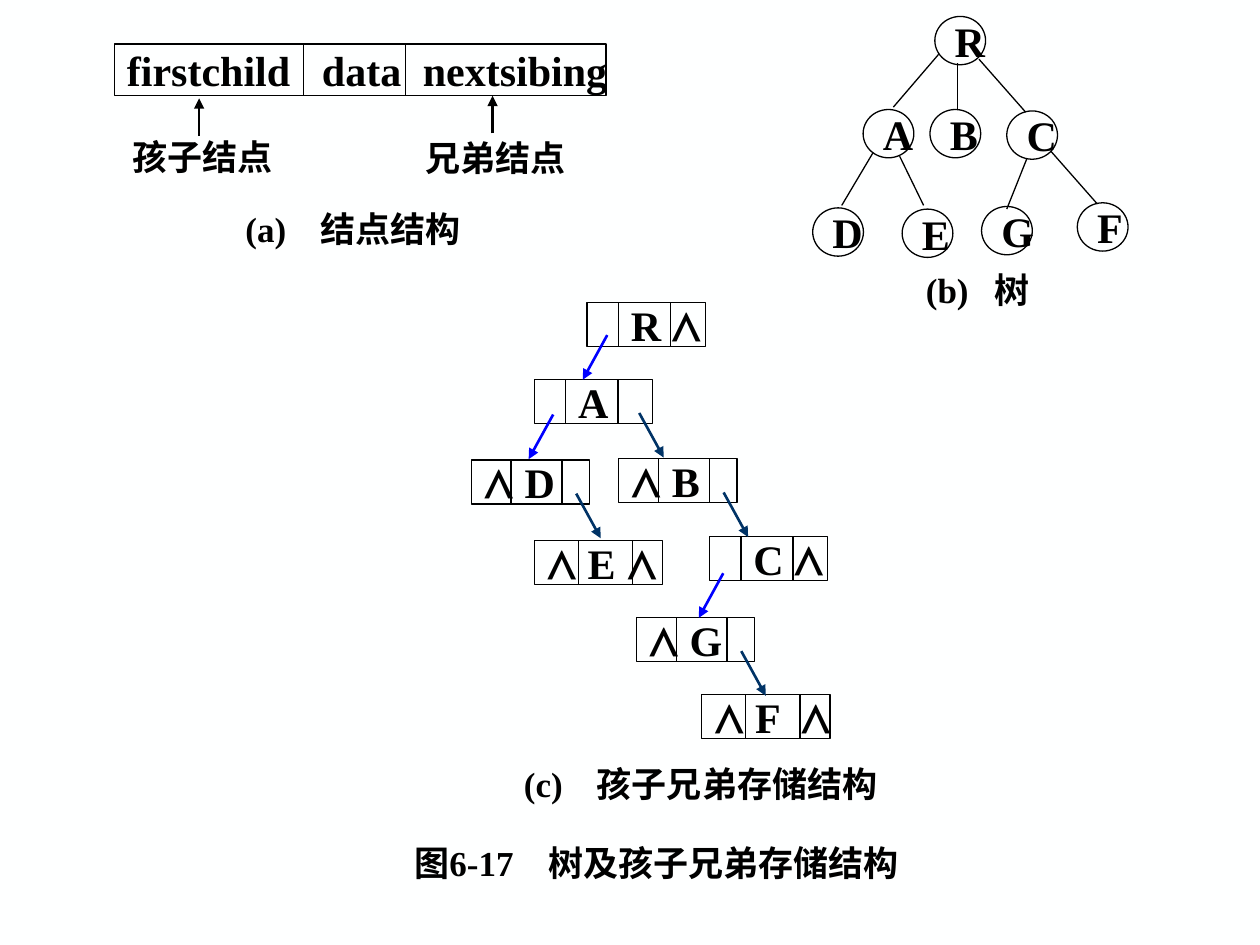
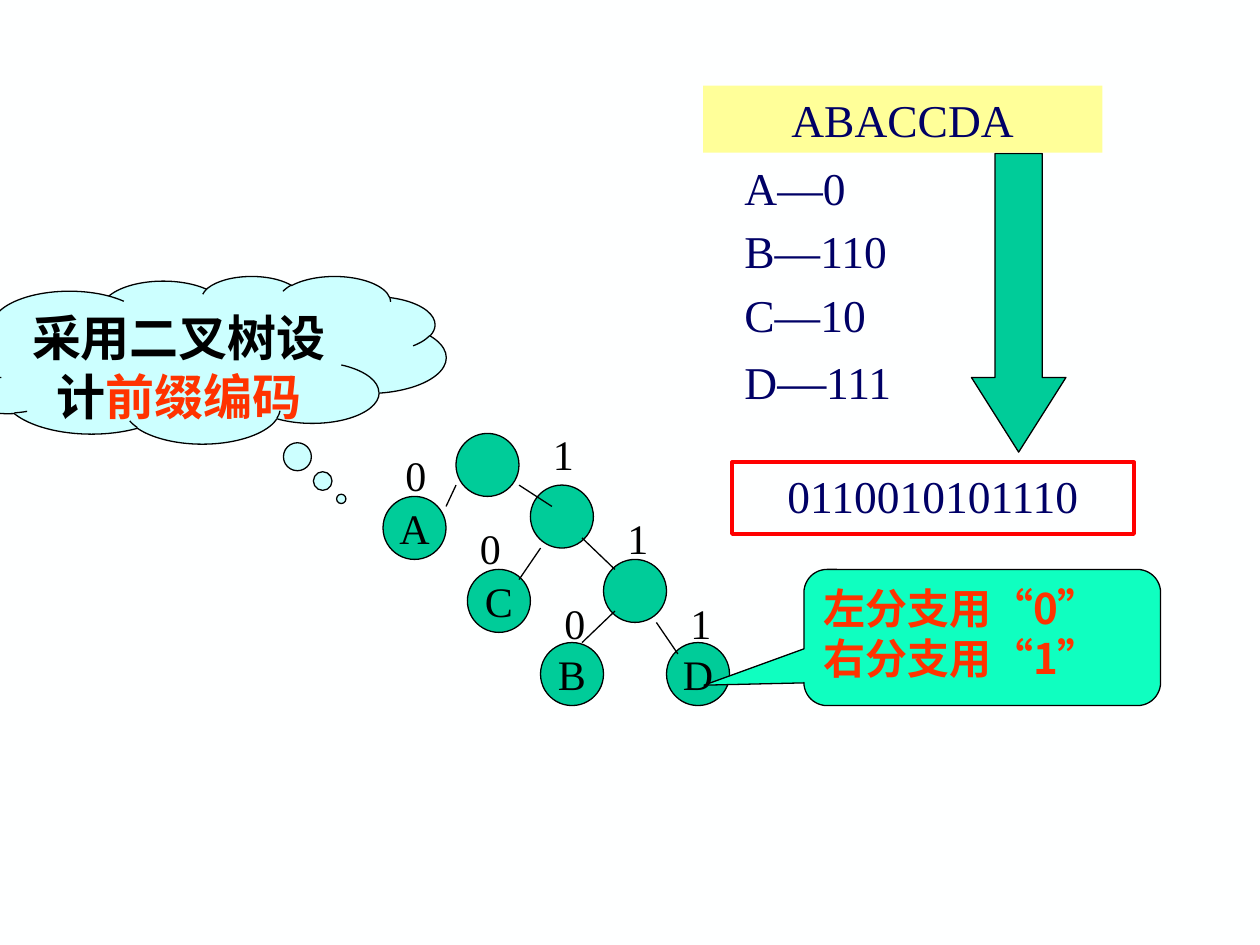
from lxml import etree
from pptx import Presentation
from pptx import util as u
from pptx.dml.color import RGBColor
from pptx.enum import shapes, text
from pptx.oxml import ns

Pt = u.Pt
KIND = shapes.MSO_SHAPE
LEFT, CENTER = text.PP_ALIGN.LEFT, text.PP_ALIGN.CENTER
TOP, MIDDLE = text.MSO_ANCHOR.TOP, text.MSO_ANCHOR.MIDDLE


class Theme:
    serif, cjk = "Times New Roman", "Noto Sans CJK SC"
    paper, ink, navy = "FEFFFF", "000000", "000066"
    child_link, sibling_link = "0000FF", "003366"
    green, mint, sky, yellow = "00CC99", "0FFFC0", "CCFFFF", "FFFF99"
    red, orange = "FF0000", "FF3300"
    caption, code, letter, dash, cloud = 20, 26, 24, 28, 28
    thin, medium, thick = 0.75, 1.5, 2.25


# Content of slide 1: tree and child-sibling storage
FIELDS = "firstchild\tdata\tnextsibing"
FIELD_BOX, FIELD_TABS, FIELD_DIVIDERS = (65.5, 25.2, 280.8, 29.5), (111.4, 169.1), (108, 166.3)
FIELD_NOTES = [  # text, box, arrow x, arrow start and end y
    ("孩子结点", (68.4, 75.6, 98.6, 27.4), 113.8, 77.8, 56.2),
    ("兄弟结点", (236.2, 76.3, 95.8, 27.4), 281.5, 76.3, 54.7),
]
CAPTIONS = [  # text, box, tab stop
    ("(a)\t结点结构", (133.2, 116.6, 141.8, 27.4), 42.9),
    ("(b)\t树", (522, 152.6, 80, 25.2), 39),
    ("(c)\t孩子兄弟存储结构", (292.3, 433.4, 221, 28.1), 41.7),
    ("图6-17\t树及孩子兄弟存储结构", (229.7, 478.8, 300, 28.1), 76.6),
]
TREE_NODES = {
    "R": (534.2, 9.4), "A": (493.2, 62.6), "B": (531.4, 62.6), "C": (575.3, 63.4),
    "D": (464.4, 118.8), "E": (515.5, 119.5), "G": (560.9, 118), "F": (615.6, 115.9),
}
TREE_EDGES = [
    (536.4, 31, 510.5, 61.2), (547.2, 36, 547.2, 62.6), (559.4, 33.8, 586.1, 64.1),
    (499, 87.1, 481, 117.4), (514.1, 89.3, 527.8, 117.4),
    (600.5, 86.4, 627.1, 116.6), (586.8, 90.7, 575.3, 119.5),
]
NULL = "⋀"
RECORDS = {  # letter: left, top, first child, next sibling, tab of the last field
    "R": (335.5, 172.8, "", NULL, 41),
    "A": (305.3, 216.7, "", "", 41),
    "D": (269.3, 262.8, NULL, "", 41),
    "B": (353.5, 262.1, NULL, "", 41),
    "C": (405.4, 306.7, "", NULL, 41),
    "E": (305.3, 308.9, NULL, NULL, 45.8),
    "G": (363.6, 352.8, NULL, "", 41),
    "F": (401, 396.7, NULL, NULL, 49.5),
}
RECORD_LAYOUT = {  # (child null, sibling null): width, dividers, letter tab
    (False, True): (67.7, (18, 47.8), 18),
    (False, False): (67.7, (18, 47.8), 18),
    (True, False): (67.7, (22.8, 51.8), 23.4),
    (True, True): (73.4, (25.2, 56.2), 23.4),
}
CHILD_LINKS = {"R": (11.5, 18.7), "A": (10.8, 20.2), "C": (7.9, 20.9)}
SIBLING_LINKS = {name: (60, 19.3) for name in "ABDG"}
LINK_WIDTH, LINK_HEIGHT = 14, 25.5

# Content of slide 2: prefix codes from a binary tree
MESSAGE, ENCODED = "ABACCDA", "0110010101110"
CODES = ["A—0", "B—110", "C—10", ["D", ("—", {"size": Theme.dash}), "111"]]
IDEA = ["采用二叉树设计", ("前缀编码", {"color": Theme.orange})]
RULES = ["左分支用“0”", "右分支用“1”"]
CODE_NODES = [
    ("", 260.6, 247.7), ("", 303.1, 277.2), ("", 344.9, 319.7), ("A", 218.9, 283.7),
    ("C", 267.1, 325.4), ("B", 308.9, 367.2), ("D", 380.9, 367.2),
]
CODE_EDGES = [
    (260.6, 277.2, 254.9, 289.4), (296.6, 277.2, 315.4, 289.4),
    (308.9, 313.2, 296.6, 331.2), (351.4, 349.2, 332.6, 367.2),
    (375.1, 355.7, 387.4, 373.7), (332.6, 307.4, 351.4, 325.4),
]
BITS = {
    "0": [(224.6, 253.4), (267.1, 295.2), (315.4, 337.7)],
    "1": [(308.9, 241.2), (351.4, 289.4), (387.4, 337.7)],
}


# Drawing helpers
def rgb(color):
    return RGBColor.from_string(color)


def add_xml(parent, tag, **attributes):
    return etree.SubElement(parent, ns.qn(tag), attributes)


def style_font(font, size=None, color=None, name=None, bold=None):
    if size:
        font.size = Pt(size)
    if color:
        font.color.rgb = rgb(color)
    if bold is not None:
        font.bold = bold
    if name:
        font.name = name
        add_xml(font._element, "a:ea", typeface=Theme.cjk)


def write(box, paras, size=Theme.letter, color=Theme.ink, name=Theme.serif, bold=False,
          align=LEFT, anchor=MIDDLE, wrap=False, tabs=(), gap=0):
    frame = box.text_frame
    frame.word_wrap = wrap
    frame.vertical_anchor = anchor
    for index, content in enumerate(paras):
        para = frame.paragraphs[0] if index == 0 else frame.add_paragraph()
        para.alignment = align
        if gap and index:
            para.space_before = Pt(gap)
        if tabs:
            stops = add_xml(para._p.get_or_add_pPr(), "a:tabLst")
            for stop in tabs:
                add_xml(stops, "a:tab", pos=str(int(Pt(stop))), algn="l")
        style_font(para.font, size, color, name, bold)
        for part in [content] if isinstance(content, str) else content:
            words, changes = (part, {}) if isinstance(part, str) else part
            span = para.add_run()
            span.text = words
            style_font(span.font, **changes)


def add_shape(page, kind, box, fill=None, line=Theme.ink, width=Theme.thin, adjust=()):
    shape = page.shapes.add_shape(kind, *map(Pt, box))
    shape.shadow.inherit = False
    if fill:
        shape.fill.solid()
        shape.fill.fore_color.rgb = rgb(fill)
    else:
        shape.fill.background()
    if line:
        shape.line.color.rgb = rgb(line)
        shape.line.width = Pt(width)
    else:
        shape.line.fill.background()
    for index, value in enumerate(adjust):
        shape.adjustments[index] = value
    return shape


def add_label(page, box, paras, **style):
    write(page.shapes.add_textbox(*map(Pt, box)), paras, wrap=True, **style)


def add_line(page, ends, color=Theme.ink, width=Theme.thin, arrow=False):
    line = page.shapes.add_connector(shapes.MSO_CONNECTOR.STRAIGHT, *map(Pt, ends))
    line.line.color.rgb = rgb(color)
    line.line.width = Pt(width)
    if arrow:
        add_xml(line.line._get_or_add_ln(), "a:tailEnd", type="triangle")
    add_xml(line._element.spPr, "a:effectLst")


def add_record(page, box, content, tabs, dividers):
    left, top, _, height = box
    write(add_shape(page, KIND.RECTANGLE, box), [content], bold=True, tabs=tabs)
    for offset in dividers:
        add_line(page, (left + offset, top, left + offset, top + height))


def add_page(deck):
    page = deck.slides.add_slide(deck.slide_layouts[6])
    page.background.fill.solid()
    page.background.fill.fore_color.rgb = rgb(Theme.paper)
    return page


def build_storage_page(deck):
    page = add_page(deck)

    # Captions
    for words, box, stop in CAPTIONS:
        add_label(page, box, [words], size=Theme.caption, bold=True, tabs=(stop,))

    # Tree
    for letter, (left, top) in TREE_NODES.items():
        node = add_shape(page, KIND.OVAL, (left, top, 29, 27.6))
        write(node, [letter], bold=True)
    for ends in TREE_EDGES:
        add_line(page, ends)

    # Linked records
    for letter, (left, top, child, sibling, last_tab) in RECORDS.items():
        width, dividers, letter_tab = RECORD_LAYOUT[bool(child), bool(sibling)]
        content = f"{child}\t{letter}" + (f"\t{sibling}" if sibling else "")
        add_record(page, (left, top, width, 25.2), content, (letter_tab, last_tab), dividers)
    for links, color, run in ((CHILD_LINKS, Theme.child_link, -LINK_WIDTH),
                              (SIBLING_LINKS, Theme.sibling_link, LINK_WIDTH)):
        for letter, (dx, dy) in links.items():
            x, y = RECORDS[letter][0] + dx, RECORDS[letter][1] + dy
            add_line(page, (x, y, x + run, y + LINK_HEIGHT), color, Theme.medium, arrow=True)

    # Node structure
    add_record(page, FIELD_BOX, FIELDS, FIELD_TABS, FIELD_DIVIDERS)
    for words, box, x, start, end in FIELD_NOTES:
        add_label(page, box, [words], size=Theme.caption, bold=True)
        add_line(page, (x, start, x, end), width=Theme.medium, arrow=True)


def build_prefix_page(deck):
    page = add_page(deck)

    # Code tree
    for letter, left, top in CODE_NODES:
        node = add_shape(page, KIND.OVAL, (left, top, 36, 36), Theme.green)
        if letter:
            write(node, [letter], align=CENTER)
    for ends in CODE_EDGES:
        add_line(page, ends)
    for bit, places in BITS.items():
        for left, top in places:
            add_label(page, (left, top, 41.8, 36), [bit], anchor=TOP)

    # Callouts
    cloud = add_shape(page, KIND.CLOUD_CALLOUT, (-30.2, 157.7, 285.1, 95.8), Theme.sky,
                      adjust=(0.29, 0.83))
    write(cloud, [IDEA], size=Theme.cloud, bold=True, align=CENTER, anchor=TOP, wrap=True)
    rules = add_shape(page, KIND.ROUNDED_RECTANGULAR_CALLOUT, (459.4, 325.4, 203.8, 77.8),
                      Theme.mint, adjust=(-0.78, 0.35, 0.17))
    write(rules, RULES, color=Theme.orange, name=Theme.cjk, bold=True, anchor=TOP, wrap=True)

    # Message, code table and encoded result
    code_style = dict(size=Theme.code, color=Theme.navy, anchor=TOP)
    add_label(page, (418.3, 87.8, 109.4, 154), CODES, gap=5.2, **code_style)
    add_shape(page, KIND.DOWN_ARROW, (555.1, 87.8, 54, 170.6), Theme.green, adjust=(0.5, 0.79))
    result = add_shape(page, KIND.RECTANGLE, (418.3, 264.2, 229.7, 41), None,
                       Theme.red, Theme.thick)
    write(result, [ENCODED], align=CENTER, wrap=True, **code_style)
    message = add_shape(page, KIND.RECTANGLE, (401.8, 49, 228.2, 38.2), Theme.yellow, None)
    write(message, [MESSAGE], align=CENTER, wrap=True, **code_style)


def main():
    deck = Presentation()
    deck.slide_width, deck.slide_height = Pt(720), Pt(540)
    build_storage_page(deck)
    build_prefix_page(deck)
    deck.save("out.pptx")


if __name__ == "__main__":
    main()
